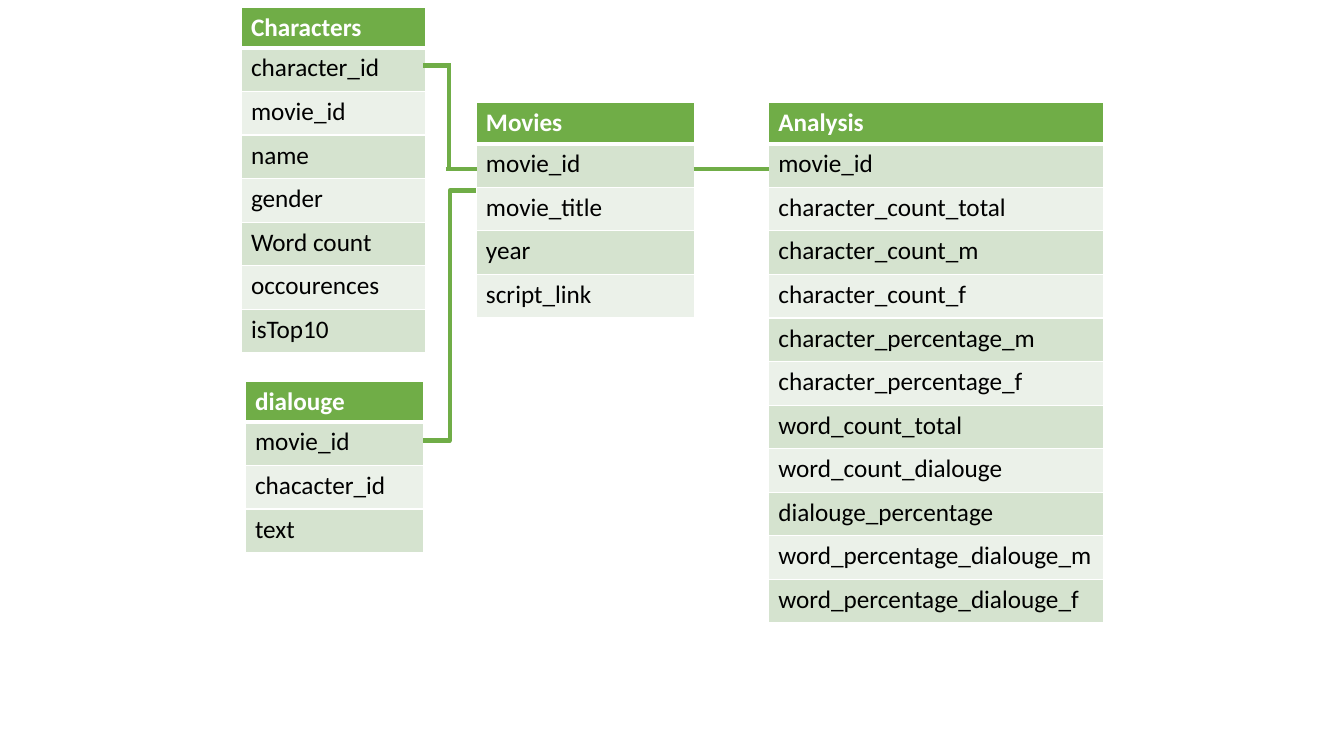
from lxml.etree import SubElement
from pptx import Presentation
from pptx.dml.color import RGBColor
from pptx.enum.shapes import MSO_CONNECTOR as Connector
from pptx.oxml.ns import qn
from pptx.util import Inches, Pt

COLORS = {
    "green": "70AD47",
    "dark_band": "D5E3CF",
    "light_band": "EBF1E9",
    "white": "FFFFFF",
    "black": "000000",
}
HEADER_HEIGHT, ROW_HEIGHT = Inches(0.39), Pt(31.15)

# Each entity: left, top, width, name, fields
ENTITIES = [
    (2.39, 0.07, 1.83, "Characters",
     ["character_id", "movie_id", "name", "gender", "Word count",
      "occourences", "isTop10"]),
    (4.72, 1.02, 2.17, "Movies",
     ["movie_id", "movie_title", "year", "script_link"]),
    (7.62, 1.02, 3.33, "Analysis",
     ["movie_id", "character_count_total", "character_count_m",
      "character_count_f", "character_percentage_m",
      "character_percentage_f", "word_count_total", "word_count_dialouge",
      "dialouge_percentage", "word_percentage_dialouge_m",
      "word_percentage_dialouge_f"]),
    (2.43, 3.78, 1.77, "dialouge", ["movie_id", "chacacter_id", "text"]),
]

# Straight links: Movies to Analysis, then the three parts of Characters to Movies
STRAIGHT_LINKS = [
    ((6.88, 1.68), (7.63, 1.68)),
    ((4.45, 0.64), (4.45, 1.67)),
    ((4.2, 0.65), (4.47, 0.65)),
    ((4.42, 1.68), (4.73, 1.68)),
]


def color(name):
    return RGBColor.from_string(COLORS[name])


def write_text(text_frame, text, size=18, font="Calibri", fill="black", bold=False):
    run = text_frame.paragraphs[0].add_run()
    run.text = text
    run.font.size = Pt(size)
    run.font.name = font
    run.font.bold = bold
    run.font.color.rgb = color(fill)


def set_borders(cell, top=1, bottom=1):
    properties = cell._tc.get_or_add_tcPr()
    for side, width in (("L", 1), ("R", 1), ("T", top), ("B", bottom)):
        line = SubElement(properties, qn(f"a:ln{side}"), w=str(Pt(width)))
        fill = SubElement(line, qn("a:solidFill"))
        SubElement(fill, qn("a:srgbClr"), val=COLORS["white"])


def add_entity(slide, left, top, width, name, fields):
    height = HEADER_HEIGHT + ROW_HEIGHT * len(fields)
    table = slide.shapes.add_table(len(fields) + 1, 1, Inches(left), Inches(top),
                                   Inches(width), height).table
    for index, text in enumerate([name, *fields]):
        header = index == 0
        table.rows[index].height = HEADER_HEIGHT if header else ROW_HEIGHT
        cell = table.cell(index, 0)
        # The rule under the header is thicker than the others
        set_borders(cell, top=3 if index == 1 else 1, bottom=3 if header else 1)
        band = "dark_band" if index % 2 else "light_band"
        cell.fill.solid()
        cell.fill.fore_color.rgb = color("green" if header else band)
        write_text(cell.text_frame, text, bold=header,
                   fill="white" if header else "black")


def add_link(slide, start, end, kind=Connector.STRAIGHT):
    points = [Inches(value) for value in (*start, *end)]
    link = slide.shapes.add_connector(kind, *points)
    link.line.color.rgb = color("green")
    link.line.width = Pt(3)
    SubElement(link._element.spPr, qn("a:effectLst"))


def main():
    presentation = Presentation()
    presentation.slide_width = Inches(13.33)
    presentation.slide_height = Inches(7.5)
    slide = presentation.slides.add_slide(presentation.slide_layouts[6])

    # Entity tables
    for entity in ENTITIES:
        add_entity(slide, *entity)

    # Links between the tables; the bent one joins Movies to dialouge
    add_link(slide, (4.72, 1.89), (4.2, 4.37), Connector.ELBOW)
    for start, end in STRAIGHT_LINKS:
        add_link(slide, start, end)

    presentation.save("out.pptx")


main()
